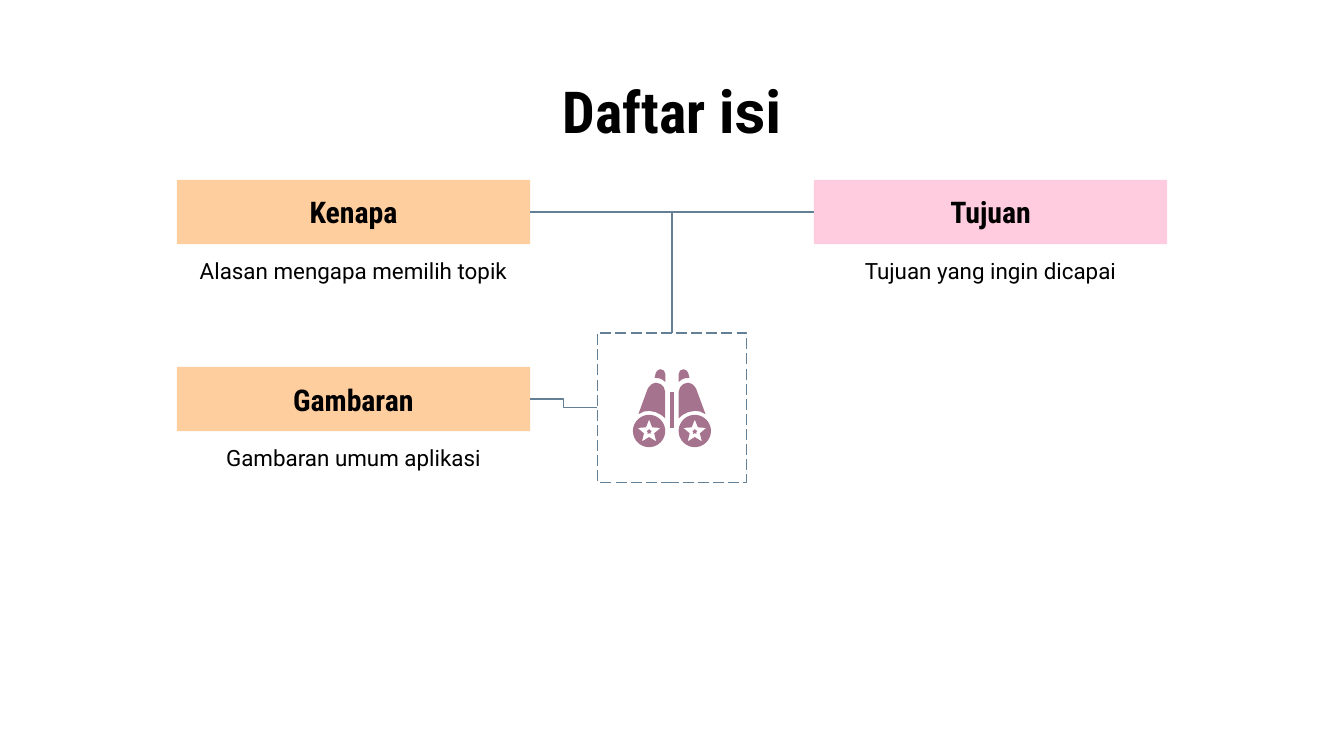
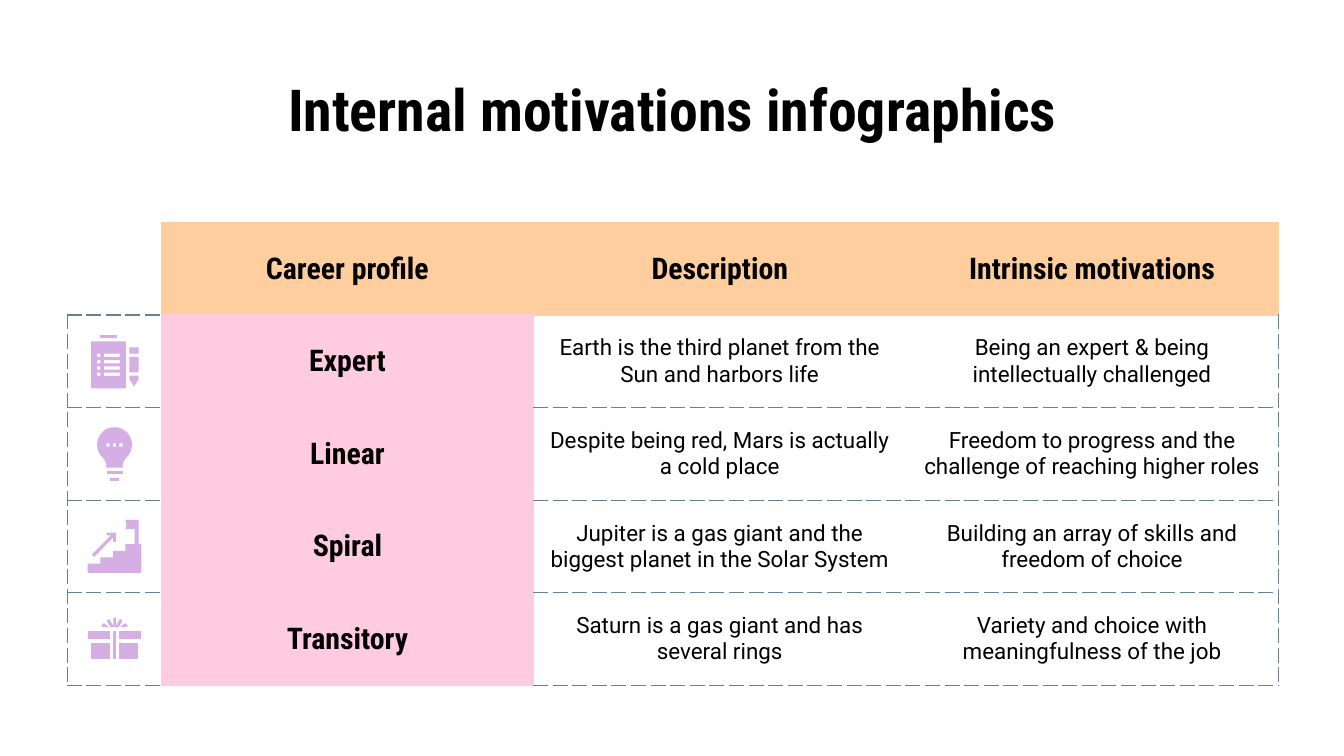
from math import cos, pi, sin

from lxml.etree import SubElement
from pptx import Presentation
from pptx.dml.color import RGBColor
from pptx.enum.dml import MSO_LINE
from pptx.enum.shapes import MSO_CONNECTOR, MSO_SHAPE
from pptx.enum.text import MSO_ANCHOR, MSO_AUTO_SIZE, PP_ALIGN
from pptx.oxml.ns import qn
from pptx.util import Pt

COLORS = {
    "black": "000000",
    "slate": "638097",
    "peach": "FFCE9E",
    "pink": "FFCBDE",
    "mauve": "A5738E",
    "lilac": "D5AEE4",
}
RGB = {name: RGBColor.from_string(value) for name, value in COLORS.items()}
HEADING_FONT, BODY_FONT = "Roboto Condensed", "Roboto"
LINE_WIDTH = Pt(0.75)
INSET = Pt(7.2)
ICON_UNIT = 0.72


def fill_text(text_frame, text, size, heading=True, anchor=MSO_ANCHOR.MIDDLE):
    text_frame.text = text
    text_frame.word_wrap = True
    text_frame.vertical_anchor = anchor
    paragraph = text_frame.paragraphs[0]
    paragraph.alignment = PP_ALIGN.CENTER
    font = paragraph.runs[0].font
    font.name = HEADING_FONT if heading else BODY_FONT
    font.size = Pt(size)
    font.bold = heading
    font.color.rgb = RGB["black"]


def draw_part(slide, contours, left, top, color):
    """Draw contours in icon units; two points stand for a rectangle's corners."""
    builder = None
    for contour in contours:
        if len(contour) == 2:
            (x1, y1), (x2, y2) = contour
            contour = [(x1, y1), (x1, y2), (x2, y2), (x2, y1)]
        points = [(Pt(left + x * ICON_UNIT), Pt(top + y * ICON_UNIT)) for x, y in contour]
        if builder is None:
            builder = slide.shapes.build_freeform(*points[0])
        else:
            builder.move_to(*points[0])
        builder.add_line_segments(points[1:], close=True)
    shape = builder.convert_to_shape()
    shape.shadow.inherit = False
    shape.fill.solid()
    shape.fill.fore_color.rgb = RGB[color]
    shape.line.fill.background()


presentation = Presentation()
presentation.slide_width = Pt(720)
presentation.slide_height = Pt(405)

slides = []
for title_text in ("Daftar ", "Internal motivations infographics"):
    slide = presentation.slides.add_slide(presentation.slide_layouts[5])
    title = slide.shapes.title
    title.left, title.top, title.width, title.height = Pt(36), Pt(32.4), Pt(648), Pt(44.6)
    fill_text(title.text_frame, title_text, 31, anchor=MSO_ANCHOR.TOP)
    title.text_frame.auto_size = MSO_AUTO_SIZE.NONE
    title.text_frame.margin_top = title.text_frame.margin_bottom = INSET
    slides.append(slide)
contents_slide, motivations_slide = slides

# Contents slide
last_word = contents_slide.shapes.title.text_frame.paragraphs[0].add_run()
last_word.text = "isi"
last_word.font.name = BODY_FONT
last_word.font.size = Pt(32)
last_word.font.bold = True
last_word.font.color.rgb = RGB["black"]

icon_frame = contents_slide.shapes.add_shape(
    MSO_SHAPE.RECTANGLE, Pt(320), Pt(178.5), Pt(80), Pt(80))
icon_frame.shadow.inherit = False
icon_frame.fill.background()
icon_frame.line.color.rgb = RGB["slate"]
icon_frame.line.width = LINE_WIDTH
icon_frame.line.dash_style = MSO_LINE.LONG_DASH

# heading, description, left, top, fill, heading side, frame side, connector preset
topics = [
    ("Kenapa", "Alasan mengapa memilih topik", 94.75, 96.4, "peach", 3, 0, "bentConnector2"),
    ("Gambaran", "Gambaran umum aplikasi", 94.75, 196.6, "peach", 3, 1, "bentConnector3"),
    ("Tujuan", "Tujuan yang ingin dicapai", 436.05, 96.4, "pink", 1, 0, "bentConnector2"),
]
for heading_text, description_text, left, top, color, side, frame_side, preset in topics:
    description = contents_slide.shapes.add_textbox(
        Pt(left), Pt(top + 34.4), Pt(189.2), Pt(41.8))
    fill_text(description.text_frame, description_text, 12, False, MSO_ANCHOR.TOP)
    heading = contents_slide.shapes.add_shape(
        MSO_SHAPE.RECTANGLE, Pt(left), Pt(top), Pt(189.2), Pt(34.4))
    heading.shadow.inherit = False
    heading.fill.solid()
    heading.fill.fore_color.rgb = RGB[color]
    heading.line.fill.background()
    fill_text(heading.text_frame, heading_text, 16)
    for frame in (description.text_frame, heading.text_frame):
        frame.margin_top = frame.margin_bottom = INSET

    connector = contents_slide.shapes.add_connector(MSO_CONNECTOR.ELBOW, 0, 0, 0, 0)
    connector.begin_connect(heading, side)
    connector.end_connect(icon_frame, frame_side)
    connector.line.color.rgb = RGB["slate"]
    connector.line.width = LINE_WIDTH
    connector._element.xpath(".//a:prstGeom")[0].set("prst", preset)
    SubElement(connector._element.spPr, qn("a:effectLst"))

# Binoculars: one half, mirrored about the middle of the frame
lens = [(-17 + 12 * cos(pi * step / 20), 46 + 12 * sin(pi * step / 20)) for step in range(40)]
star, pupil = [
    [(-17 + radii[step % 2] * sin(pi * step / 5), 46.5 - radii[step % 2] * cos(pi * step / 5))
     for step in range(10)]
    for radii in ((9, 4), (2, 1.2))
]
barrel = [(-12, 10), (-15, 11), (-17, 13), (-18, 14.5), (-25, 33.5), (-21, 31.5), (-17, 31),
          (-12, 32), (-8, 34), (-5, 36.5), (-5, 17), (-6, 13.5), (-8.5, 11)]
eyepiece = [(-8.5, 0), (-10.5, 0.7), (-12, 2.5), (-13, 6.5), (-10, 6.7), (-7.5, 7.5), (-5, 9.5),
            (-5, 3.5), (-6, 1)]
for mirror in (1, -1):
    for contours in ([barrel], [eyepiece], [pupil], [lens, star]):
        mirrored = [[(mirror * x, y) for x, y in contour] for contour in contours]
        draw_part(contents_slide, mirrored, 360, 197.8, "mauve")
draw_part(contents_slide, [[(-1.6, 17), (1.6, 44)]], 360, 197.8, "mauve")

# Motivations slide
rows = [
    ("", "Career profile", "Description", "Intrinsic motivations"),
    ("", "Expert", "Earth is the third planet from the Sun and harbors life",
     "Being an expert & being intellectually challenged"),
    ("", "Linear", "Despite being red, Mars is actually a cold place",
     "Freedom to progress and the challenge of reaching higher roles"),
    ("", "Spiral", "Jupiter is a gas giant and the biggest planet in the Solar System",
     "Building an array of skills and freedom of choice"),
    ("", "Transitory", "Saturn is a gas giant and has several rings",
     "Variety and choice with meaningfulness of the job"),
]
COLUMN_WIDTHS = (50.4, 199.5, 199.5, 199.5)
ROW_HEIGHT = 49.6
table = motivations_slide.shapes.add_table(
    len(rows), 4, Pt(36), Pt(119.2), Pt(sum(COLUMN_WIDTHS)), Pt(ROW_HEIGHT * len(rows))).table
table.first_row = table.horz_banding = False
for column, width in zip(table.columns, COLUMN_WIDTHS):
    column.width = Pt(width)

for row_index, row in enumerate(rows):
    table.rows[row_index].height = Pt(ROW_HEIGHT)
    for column_index, text in enumerate(row):
        cell = table.cell(row_index, column_index)
        cell.margin_left = cell.margin_right = cell.margin_top = cell.margin_bottom = INSET
        cell.vertical_anchor = MSO_ANCHOR.MIDDLE
        if text:
            is_heading = row_index == 0 or column_index == 1
            fill_text(cell.text_frame, text, 16 if is_heading else 12, is_heading)

        fill_color = None
        if row_index == 0 and column_index > 0:
            fill_color = "peach"
        elif column_index == 1:
            fill_color = "pink"
        if fill_color:
            edges = [fill_color] * 4
        elif row_index == 0:
            edges = [None, "peach", None, "slate"]
        else:
            edges = [
                {0: "slate", 2: "pink"}.get(column_index),
                {0: "pink", 3: "slate"}.get(column_index),
                "peach" if row_index == 1 and column_index > 1 else "slate",
                "slate",
            ]
        for side, color in zip("LRTB", edges):
            border = SubElement(cell._tc.get_or_add_tcPr(), qn(f"a:ln{side}"), w=str(LINE_WIDTH))
            if color is None:
                SubElement(border, qn("a:noFill"))
                continue
            border_fill = SubElement(border, qn("a:solidFill"))
            SubElement(border_fill, qn("a:srgbClr"), val=COLORS[color])
            SubElement(border, qn("a:prstDash"), val="lgDash" if color == "slate" else "solid")
        if fill_color:
            cell.fill.solid()
            cell.fill.fore_color.rgb = RGB[fill_color]
        else:
            cell.fill.background()

# Row icons, each a list of parts made of contours
line_tops = [14.2 + 4.7 * line for line in range(4)]
clipboard_lines = [[(x1, y), (x2, y + 2.4)] for y in line_tops for x1, x2 in ((7, 9.5), (12, 24))]
clipboard = [
    [[(9.5, 0), (21.5, 2.5)]],
    [[(2.5, 5), (28.5, 40)]] + clipboard_lines,
    [[(31, 9.5), (38, 14)], [(31, 16.5), (38, 28)],
     [(31, 30.5), (31, 33), (34.5, 38.5), (38, 33), (38, 30.5)]],
]
bulb_arc = [(20 + 13 * cos(pi * step / 20), 13 - 13 * sin(pi * step / 20))
            for step in range(-5, 26)]
bulb_dots = [[(x, 12), (x + 2.4, 14.4)] for x in (14, 18.8, 23.6)]
bulb = [
    [bulb_arc + [(13, 25), (14, 28), (14, 30), (26, 30), (26, 28), (27, 25)]] + bulb_dots,
    [[(14, 32.7), (26, 35)]],
    [[(16.3, 37.5), (23.5, 40)]],
]
stairs = [
    [[(28, 0), (29, 3.5), (28, 7), (35, 7), (35, 18), (28, 18), (28, 23), (19, 23), (19, 28),
      (9.5, 28), (9.5, 32.5), (0, 32.5), (0, 39.5), (40, 39.5), (40, 18), (38, 18), (38, 0)]],
    [[(14, 9.5), (14, 11.5), (17.5, 11.5), (3, 26), (5, 27.5), (19, 13), (19, 16.5), (21, 16.5),
      (21, 9.5)]],
]
gift = [
    [[(2.5, 22.5), (16.5, 34.5)]],
    [[(23.5, 22.5), (37.5, 34.5)]],
    [[(19, 13.5), (21, 34.5)]],
    [[(0, 13.5), (16.5, 20)]],
    [[(23.5, 13.5), (40, 20)]],
    [[(12, 8), (10, 10), (12, 11), (16, 11)]],
    [[(19, 4), (19, 10), (16, 5), (14, 6), (17, 11), (23, 11), (26, 6), (24, 5), (21, 10), (21, 4)]],
    [[(28, 8), (24, 11), (28, 11), (30, 10)]],
]
for icon_index, icon in enumerate((clipboard, bulb, stairs, gift)):
    for part in icon:
        draw_part(motivations_slide, part, 47, 179.3 + ROW_HEIGHT * icon_index, "lilac")

presentation.save("out.pptx")
